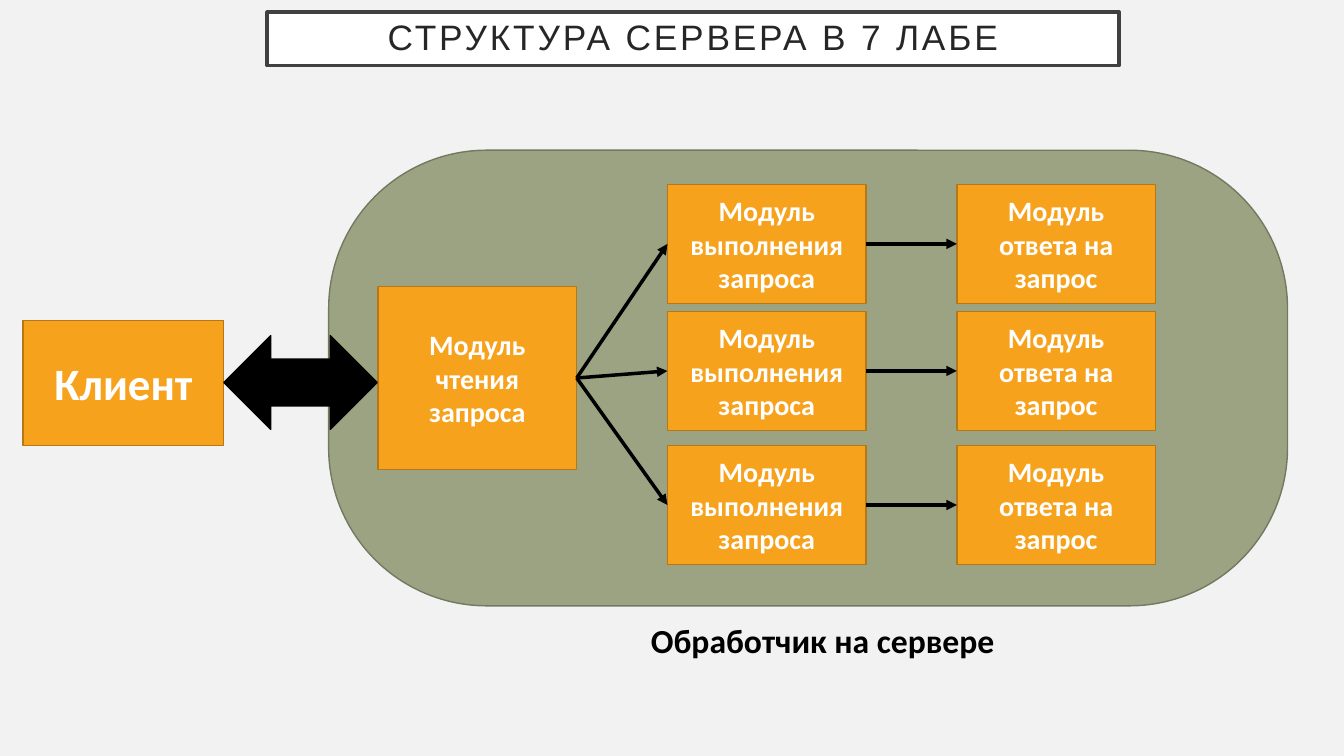
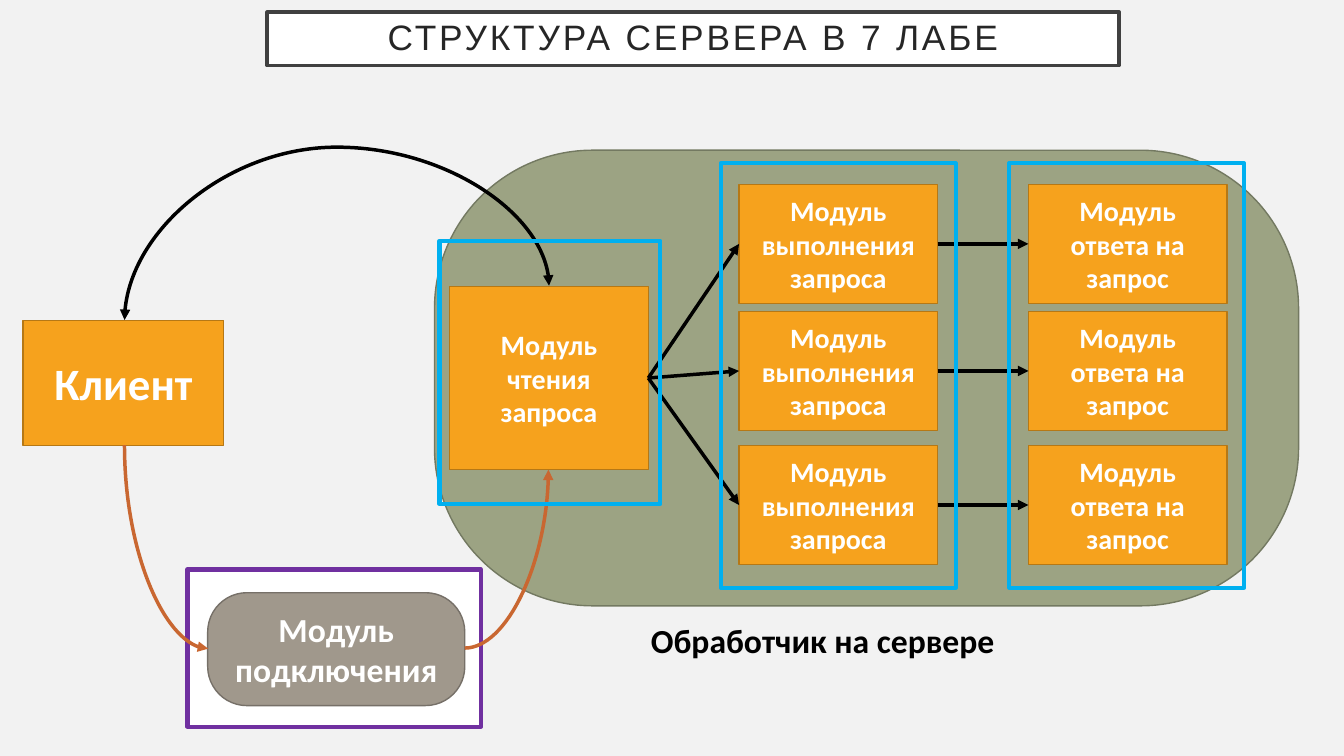
from dataclasses import dataclass
from typing import Optional

from lxml.etree import SubElement as Sub
from pptx import Presentation
from pptx.dml.color import RGBColor as RGB
from pptx.enum.shapes import MSO_CONNECTOR as Link, MSO_SHAPE as Kind
from pptx.enum.text import MSO_ANCHOR as Anchor, MSO_AUTO_SIZE as Fit, PP_ALIGN as Align
from pptx.oxml.ns import qn
from pptx.shapes.autoshape import Shape
from pptx.shapes.connector import Connector
from pptx.slide import Slide
from pptx.text.text import TextFrame
from pptx.util import Inches, Pt

PAPER = RGB(0xF2, 0xF2, 0xF2)
WHITE = RGB(0xFF, 0xFF, 0xFF)
BLACK = RGB(0x00, 0x00, 0x00)
INK = RGB(0x26, 0x26, 0x26)
FRAME = RGB(0x40, 0x40, 0x40)
ORANGE = RGB(0xF6, 0xA2, 0x1D)
BROWN = RGB(0xB6, 0x78, 0x15)
SAGE = RGB(0x9C, 0xA3, 0x83)
MOSS = RGB(0x73, 0x79, 0x61)
TAUPE = RGB(0xA0, 0x98, 0x8C)
STONE = RGB(0x76, 0x70, 0x68)
RUST = RGB(0xC9, 0x67, 0x31)
BLUE = RGB(0x00, 0xB0, 0xF0)
PURPLE = RGB(0x70, 0x30, 0xA0)

TITLE = "СТРУКТУРА СЕРВЕРА В 7 ЛАБЕ"
WIDE, PITCH = 1.97, 2.87
TOPS = (1.83, 3.09, 4.42)
ROUND = 0.347


@dataclass(frozen=True)
class Box:
    x: float
    y: float
    w: float
    h: float
    fill: Optional[RGB] = ORANGE
    line: RGB = BROWN
    text: str = ""
    size: float = 20
    kind: Kind = Kind.RECTANGLE
    width: float = 1


@dataclass(frozen=True)
class Curve:
    x1: float
    y1: float
    x2: float
    y2: float
    turn: int
    color: RGB
    preset: str = "curvedConnector2"
    bend: int = 0
    both: bool = False


CLIENT = Box(0.23, 3.18, 1.99, 1.24, text="Клиент", size=32)
ARROW = Box(2.22, 3.33, 1.52, 0.93, BLACK, BLACK, kind=Kind.LEFT_RIGHT_ARROW)
BACK = Box(1.86, 5.65, 2.91, 1.56, WHITE, PURPLE, width=3)
JOIN = Box(2.06, 5.88, 2.55, 1.12, TAUPE, STONE, "Модуль подключения", 24,
           Kind.ROUNDED_RECTANGLE)
MARKS = (
    Box(4.36, 2.39, 2.19, 2.61, None, BLUE, width=3),
    Box(7.15, 1.62, 2.33, 4.21, None, BLUE, width=3),
    Box(10.01, 1.62, 2.33, 4.21, None, BLUE, width=3),
)
CURVES = (
    Curve(3.51, 5.11, 3.17, 0.9, 90, BLACK, "curvedConnector3", 504100, True),
    Curve(2.66, 5.01, 0.64, 5.84, 270, RUST),
    Curve(4.61, 6.43, 5.44, 4.66, 0, RUST),
)


def write(frame: TextFrame, text: str, size: float, color: RGB,
          font: str = "Calibri", bold: bool = True) -> None:
    frame.text = text
    for para in frame.paragraphs:
        para.alignment = Align.CENTER
        for run in para.runs:
            run.font.name = font
            run.font.size = Pt(size)
            run.font.bold = bold
            run.font.color.rgb = color


def draw(slide: Slide, box: Box) -> Shape:
    shape = slide.shapes.add_shape(
        box.kind, Inches(box.x), Inches(box.y), Inches(box.w), Inches(box.h))
    shape.shadow.inherit = False
    if box.fill is None:
        shape.fill.background()
    else:
        shape.fill.solid()
        shape.fill.fore_color.rgb = box.fill
    shape.line.color.rgb = box.line
    shape.line.width = Pt(box.width)
    if box.kind == Kind.ROUNDED_RECTANGLE:
        shape.adjustments[0] = ROUND
    if box.text:
        shape.text_frame.word_wrap = True
        shape.text_frame.vertical_anchor = Anchor.MIDDLE
        write(shape.text_frame, box.text, box.size, WHITE)
    return shape


def style(link: Connector, color: RGB, both: bool = False) -> None:
    link.line.color.rgb = color
    link.line.width = Pt(2.5)
    props = link.element.spPr
    line = props.find(qn("a:ln"))
    for end in ("a:headEnd", "a:tailEnd") if both else ("a:tailEnd",):
        Sub(line, qn(end), type="triangle")
    Sub(props, qn("a:effectLst"))


def join(slide: Slide, start: Shape, end: Shape) -> None:
    link = slide.shapes.add_connector(Link.STRAIGHT, 0, 0, 0, 0)
    link.begin_connect(start, 3)
    link.end_connect(end, 1)
    style(link, BLACK)


def bow(slide: Slide, curve: Curve) -> None:
    link = slide.shapes.add_connector(
        Link.CURVE, Inches(curve.x1), Inches(curve.y1),
        Inches(curve.x2), Inches(curve.y2))
    props = link.element.spPr
    props.find(qn("a:xfrm")).set("rot", str(curve.turn * 60000))
    geom = props.find(qn("a:prstGeom"))
    geom.set("prst", curve.preset)
    if curve.bend:
        Sub(geom.find(qn("a:avLst")), qn("a:gd"), name="adj1", fmla=f"val {curve.bend}")
    style(link, curve.color, curve.both)


def head(slide: Slide) -> None:
    title = slide.shapes.title
    title.left, title.top = Inches(2.65), Inches(0.12)
    title.width, title.height = Inches(8.45), Inches(0.53)
    title.fill.solid()
    title.fill.fore_color.rgb = WHITE
    title.line.color.rgb = FRAME
    title.line.width = Pt(2.5)
    frame = title.text_frame
    frame.auto_size = Fit.NONE
    frame.word_wrap = True
    frame.vertical_anchor = Anchor.MIDDLE
    frame.margin_left = frame.margin_right = Inches(0.2)
    frame.margin_top = frame.margin_bottom = Inches(0.2)
    write(frame, TITLE, 25.2, INK, "Arial", False)
    para = frame.paragraphs[0]
    para.line_spacing = 0.9
    para.runs[0].font.language_id = None
    para.runs[0].font.fill.fore_color.rgb = INK
    para.runs[0].font.underline = None
    for props in frame.paragraphs[0].runs[0].font, :
        props.italic = None
    for node in title.element.iter(qn("a:rPr")):
        node.set("spc", "200")


def server(slide: Slide, back: Box, left: float) -> None:
    draw(slide, back)
    read = draw(slide, Box(left, 2.84, WIDE, 1.82, text="Модуль\nчтения запроса"))
    for top in TOPS:
        work, reply = (
            draw(slide, Box(left + PITCH * col, top, WIDE, 1.18, text=text))
            for col, text in enumerate(
                ("Модуль\nвыполнения запроса", "Модуль\nответа на запрос"), 1))
        join(slide, read, work)
        join(slide, work, reply)
    draw(slide, CLIENT)


def label(slide: Slide) -> None:
    note = slide.shapes.add_textbox(Inches(6.29), Inches(6.1), Inches(3.74), Inches(0.5))
    note.text_frame.word_wrap = False
    note.text_frame.auto_size = Fit.SHAPE_TO_FIT_TEXT
    write(note.text_frame, "Обработчик на сервере", 24, BLACK)


def hall(x: float, w: float) -> Box:
    return Box(x, 1.49, w, 4.52, SAGE, MOSS, kind=Kind.ROUNDED_RECTANGLE)


def main() -> None:
    deck = Presentation()
    deck.slide_width, deck.slide_height = Inches(13.33), Inches(7.5)
    ground = deck.slide_master.background.fill
    ground.solid()
    ground.fore_color.rgb = PAPER
    plain, full = (deck.slides.add_slide(deck.slide_layouts[5]) for _ in range(2))

    head(plain)
    server(plain, hall(3.26, 9.51), 3.75)
    draw(plain, ARROW)
    label(plain)

    head(full)
    draw(full, BACK)
    server(full, hall(4.31, 8.57), 4.46)
    draw(full, JOIN)
    for curve in CURVES:
        bow(full, curve)
    for mark in MARKS:
        draw(full, mark)
    label(full)
    deck.save("out.pptx")


if __name__ == "__main__":
    main()
